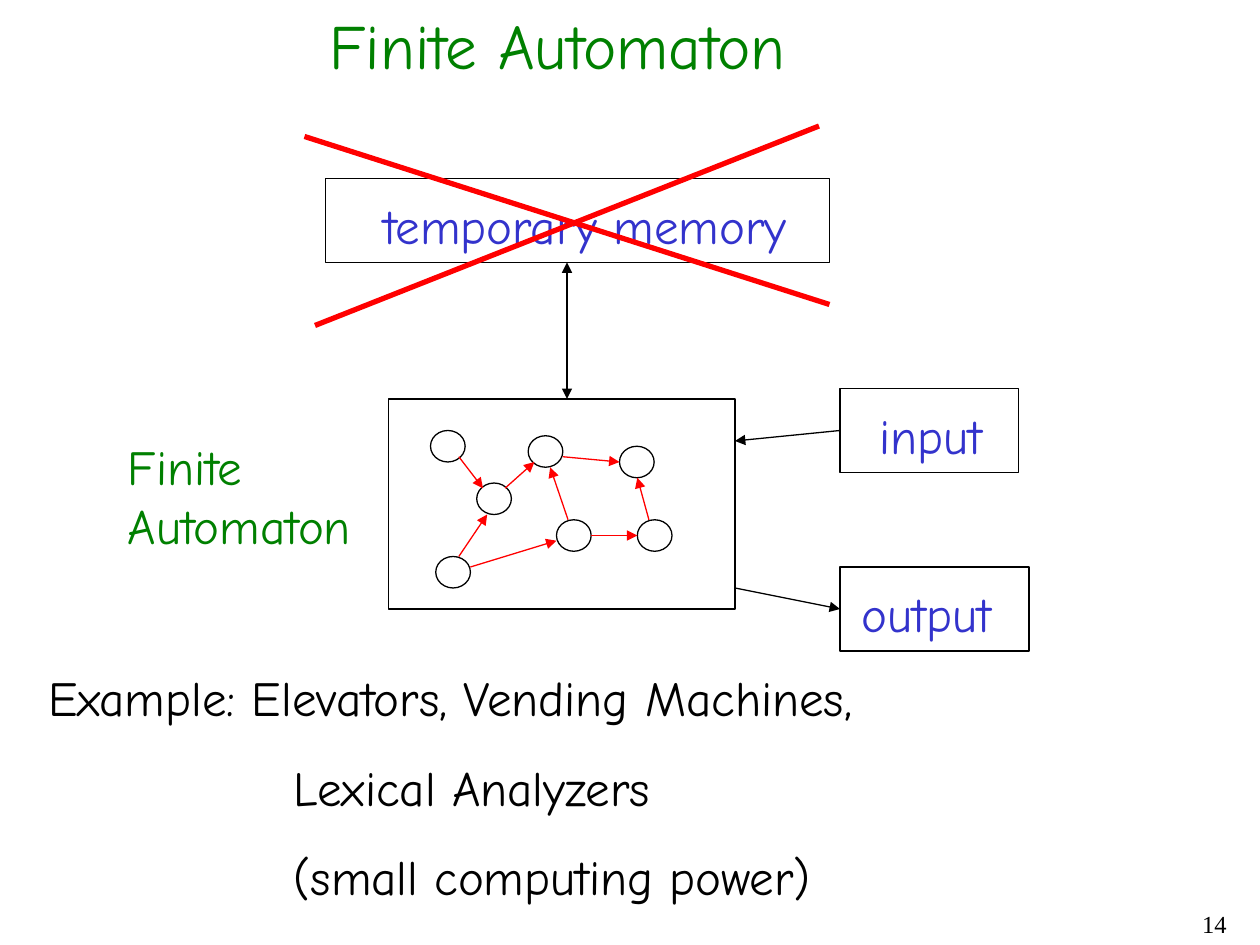
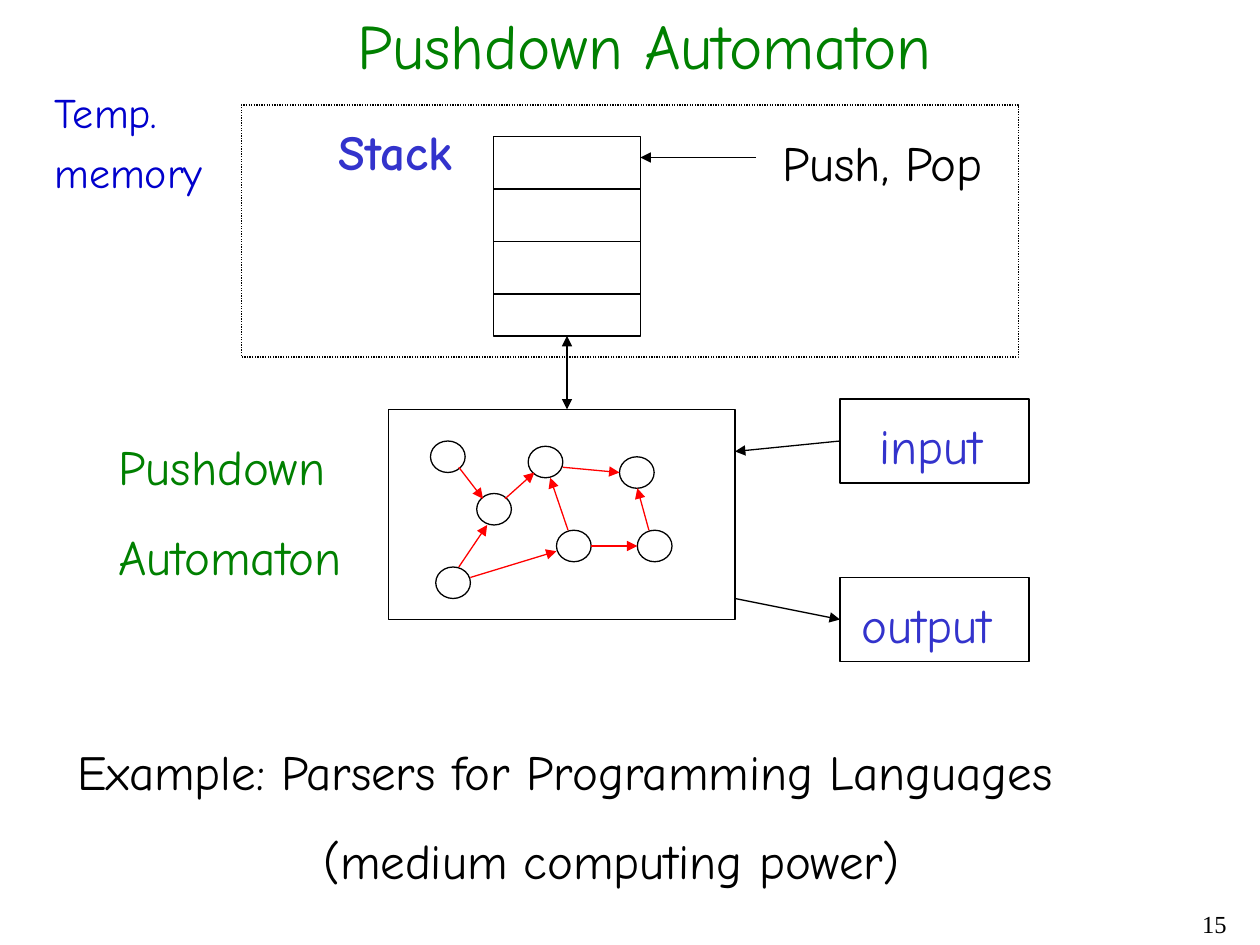
from dataclasses import dataclass
from typing import Any, Optional

from lxml import etree
from pptx import Presentation
from pptx.dml.color import RGBColor
from pptx.enum.dml import MSO_LINE
from pptx.enum.shapes import MSO_CONNECTOR, MSO_SHAPE
from pptx.enum.text import MSO_ANCHOR, MSO_AUTO_SIZE, PP_ALIGN
from pptx.oxml.ns import qn
from pptx.util import Pt

PX = 7620  # EMU per px, 120 px to the inch
TITLE_ONLY = 5
RECT, OVAL = MSO_SHAPE.RECTANGLE, MSO_SHAPE.OVAL
STRAIGHT = MSO_CONNECTOR.STRAIGHT
DOTTED = MSO_LINE.ROUND_DOT
LEFT, RIGHT = PP_ALIGN.LEFT, PP_ALIGN.RIGHT
TOP = MSO_ANCHOR.TOP
NO_AUTOFIT = MSO_AUTO_SIZE.NONE
LEFT_SIDE, BOTTOM_SIDE = 1, 2

BLACK = RGBColor(0x00, 0x00, 0x00)
RED = RGBColor(0xFF, 0x00, 0x00)
GREEN = RGBColor(0x00, 0x80, 0x00)
VIOLET = RGBColor(0x33, 0x33, 0xCC)
BLUE = RGBColor(0x00, 0x00, 0xCC)
BODY_FONT, NUMBER_FONT = "Comic Neue", "Times New Roman"
EXAMPLE_INDENT = 234

Point = tuple[int, int]


@dataclass(frozen=True)
class Box:
    left: int
    top: int
    width: int
    height: int

    def emu(self) -> list[int]:
        return [v * PX for v in (self.left, self.top, self.width, self.height)]


@dataclass(frozen=True)
class Label:
    lines: tuple[str, ...]
    box: Box
    color: RGBColor = VIOLET
    size: int = 28
    font: str = BODY_FONT
    bold: bool = False
    wrap: bool = False
    gap: float = 17.5
    indent: int = 0  # of every line after the first
    align: Any = LEFT


@dataclass(frozen=True)
class Arrow:
    start: Point
    end: Point
    color: RGBColor = BLACK
    width: float = 0.75
    at_start: bool = False
    at_end: bool = True


@dataclass(frozen=True)
class Automaton:
    title: Label
    number: str
    name: Label
    example: Label
    control_top: int
    input_width: int


# Control unit: states and transitions, measured from its top left corner
CONTROL_LEFT, CONTROL_WIDTH, CONTROL_HEIGHT = 370, 330, 200
STATE_WIDTH, STATE_HEIGHT = 33, 30
STATES: list[Point] = [
    (40, 30), (84, 80), (133, 35), (160, 115), (220, 45), (45, 150), (237, 115),
]
TRANSITIONS: list[tuple[Point, Point]] = [
    ((67, 55), (90, 85)),
    ((111, 85), (139, 60)),
    ((166, 55), (220, 60)),
    ((171, 115), (154, 65)),
    ((67, 150), (94, 110)),
    ((78, 160), (160, 135)),
    ((193, 130), (237, 130)),
    ((248, 115), (237, 75)),
]

FINITE = Automaton(
    title=Label(("Finite Automaton",), Box(302, 0, 463, 84), GREEN, 36),
    number="14",
    name=Label(("Finite Automaton",), Box(110, 410, 280, 125), GREEN, wrap=True),
    example=Label(
        ("Example: Elevators, Vending Machines,", "Lexical Analyzers",
         "(small computing power)"),
        Box(34, 630, 811, 239), BLACK, indent=EXAMPLE_INDENT),
    control_top=380,
    input_width=170,
)
PUSHDOWN = Automaton(
    title=Label(("Pushdown Automaton",), Box(328, 0, 575, 84), GREEN, 36),
    number="15",
    name=Label(("Pushdown", "Automaton"), Box(101, 410, 239, 154), GREEN),
    example=Label(
        ("Example: Parsers for Programming Languages", "(medium computing power)"),
        Box(62, 700, 990, 154), BLACK, indent=EXAMPLE_INDENT),
    control_top=390,
    input_width=180,
)


def write(shape: Any, label: Label) -> None:
    shape.left, shape.top, shape.width, shape.height = label.box.emu()
    frame = shape.text_frame
    frame.auto_size = NO_AUTOFIT
    frame.word_wrap = label.wrap
    frame.vertical_anchor = TOP
    frame.margin_left = frame.margin_right = 12 * PX
    frame.margin_top = frame.margin_bottom = 6 * PX
    for i, line in enumerate(label.lines):
        paragraph = frame.add_paragraph() if i else frame.paragraphs[0]
        paragraph.alignment = label.align
        paragraph.space_before = Pt(label.gap if i else 0)
        if i and label.indent:
            paragraph._p.get_or_add_pPr().set("marL", str(label.indent * PX))
        run = paragraph.add_run()
        run.text = line
        run.font.name = label.font
        run.font.size = Pt(label.size)
        run.font.bold = label.bold
        run.font.color.rgb = label.color


def add_label(shapes: Any, label: Label) -> None:
    write(shapes.add_textbox(*label.box.emu()), label)


def add_outline(shapes: Any, box: Box, kind: Any = RECT, dash: Any = None) -> Any:
    shape = shapes.add_shape(kind, *box.emu())
    shape.shadow.inherit = False
    shape.fill.background()
    shape.line.color.rgb = BLACK
    shape.line.width = Pt(0.75)
    if dash is not None:
        shape.line.dash_style = dash
    return shape


def add_line(shapes: Any, arrow: Arrow, start_on: Optional[tuple[Any, int]] = None,
             end_on: Optional[tuple[Any, int]] = None) -> None:
    ends = [v * PX for v in (*arrow.start, *arrow.end)]
    connector = shapes.add_connector(STRAIGHT, *ends)
    if start_on:
        connector.begin_connect(*start_on)
    if end_on:
        connector.end_connect(*end_on)
    connector.line.color.rgb = arrow.color
    connector.line.width = Pt(arrow.width)
    outline = connector.line._get_or_add_ln()
    for tag, wanted in (("a:headEnd", arrow.at_start), ("a:tailEnd", arrow.at_end)):
        if wanted:
            etree.SubElement(outline, qn(tag)).set("type", "triangle")
    etree.SubElement(connector._element.spPr, qn("a:effectLst"))


def add_control_unit(shapes: Any, top: int) -> None:
    add_outline(shapes, Box(CONTROL_LEFT, top, CONTROL_WIDTH, CONTROL_HEIGHT))
    graph = shapes.add_group_shape().shapes
    for x, y in STATES:
        state = Box(CONTROL_LEFT + x, top + y, STATE_WIDTH, STATE_HEIGHT)
        add_outline(graph, state, OVAL)
    for (x1, y1), (x2, y2) in TRANSITIONS:
        add_line(graph, Arrow((CONTROL_LEFT + x1, top + y1),
                              (CONTROL_LEFT + x2, top + y2), RED))


def add_machine(prs: Any, machine: Automaton) -> Any:
    """Everything the two slides share; returns the slide's shapes."""
    shapes = prs.slides.add_slide(prs.slide_layouts[TITLE_ONLY]).shapes
    write(shapes.title, machine.title)
    add_label(shapes, Label((machine.number,), Box(930, 860, 250, 40), BLACK, 14,
                            NUMBER_FONT, align=RIGHT))
    top, side = machine.control_top, CONTROL_LEFT + CONTROL_WIDTH

    # Input and output
    input_box = add_outline(shapes, Box(800, top - 10, machine.input_width, 80))
    output_box = add_outline(shapes, Box(800, top + 160, 180, 80))
    add_label(shapes, Label(("input",), Box(826, top, 122, 68)))
    add_label(shapes, Label(("output",), Box(809, top + 170, 148, 68)))
    add_line(shapes, Arrow((800, top + 30), (side, top + 40)),
             start_on=(input_box, LEFT_SIDE))
    add_line(shapes, Arrow((side, top + 180), (800, top + 200)),
             end_on=(output_box, LEFT_SIDE))

    add_control_unit(shapes, top)
    add_label(shapes, machine.name)
    add_label(shapes, machine.example)
    return shapes


def add_finite_slide(prs: Any) -> None:
    shapes = add_machine(prs, FINITE)
    # Temporary memory, crossed out
    add_outline(shapes, Box(310, 170, 480, 80))
    add_label(shapes, Label(("temporary memory",), Box(353, 180, 410, 68)))
    add_line(shapes, Arrow((540, 250), (540, FINITE.control_top), at_start=True))
    for start, end in (((290, 130), (790, 290)), ((300, 310), (780, 120))):
        add_line(shapes, Arrow(start, end, RED, 3, at_end=False))


def add_pushdown_slide(prs: Any) -> None:
    shapes = add_machine(prs, PUSHDOWN)
    # Stack with its cells
    stack = Box(470, 130, 140, 190)
    stack_right = stack.left + stack.width
    stack_box = add_outline(shapes, stack)
    for cell in range(1, 4):
        y = stack.top + 50 * cell
        add_line(shapes, Arrow((stack.left, y), (stack_right, y), at_end=False))
    add_line(shapes, Arrow((540, 320), (540, PUSHDOWN.control_top), at_start=True),
             start_on=(stack_box, BOTTOM_SIDE))
    add_label(shapes, Label(("Stack",), Box(311, 110, 133, 68), bold=True))
    add_line(shapes, Arrow((720, 150), (stack_right, 150)))
    add_label(shapes, Label(("Push, Pop",), Box(733, 120, 217, 68), BLACK))

    # Temporary memory region
    add_outline(shapes, Box(230, 100, 740, 240), dash=DOTTED)
    add_label(shapes, Label(("Temp.", "memory"), Box(40, 76, 164, 119), BLUE, 24, gap=6))


def main() -> None:
    prs = Presentation()
    prs.slide_width, prs.slide_height = 1200 * PX, 900 * PX
    add_finite_slide(prs)
    add_pushdown_slide(prs)
    prs.save("out.pptx")


if __name__ == "__main__":
    main()
